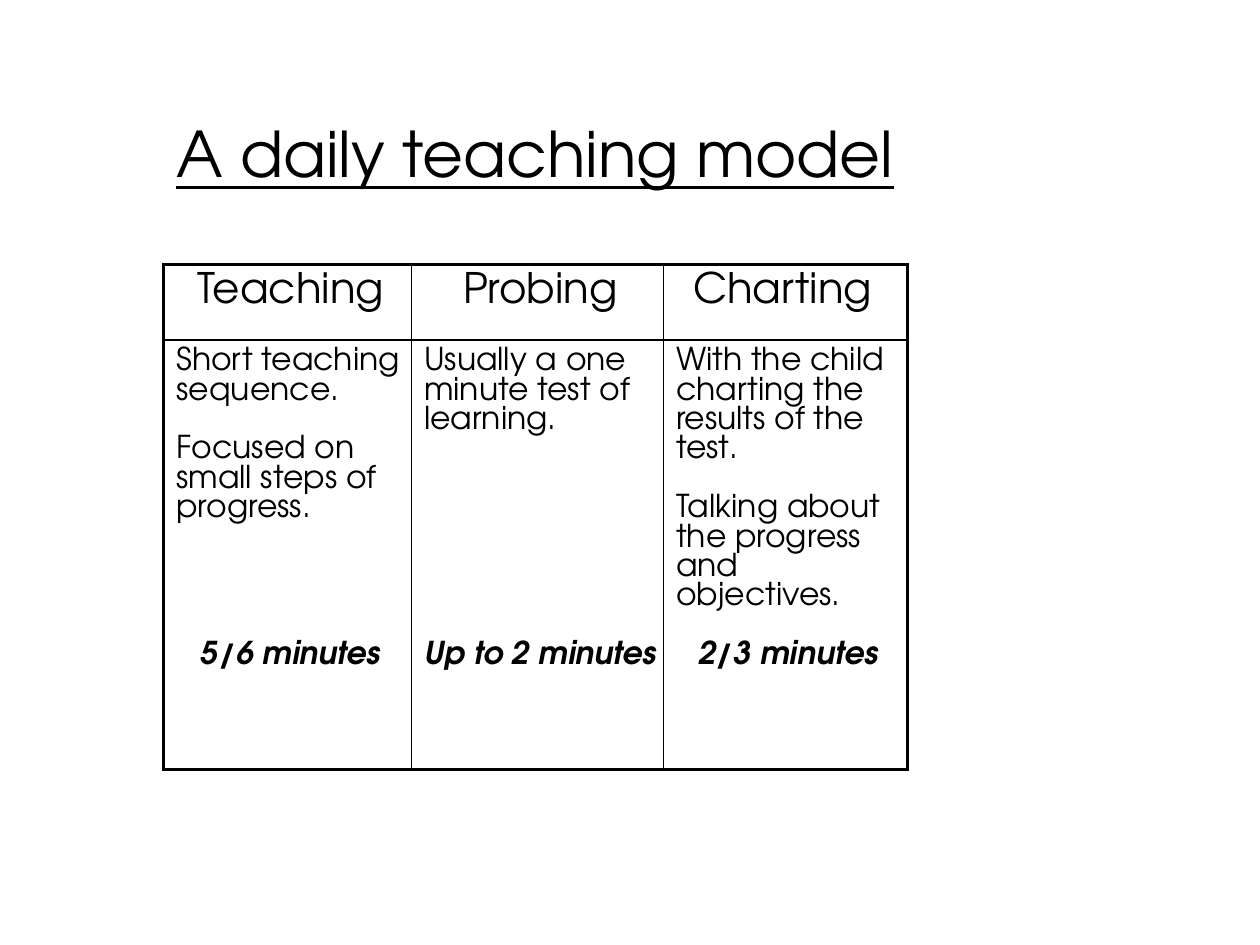
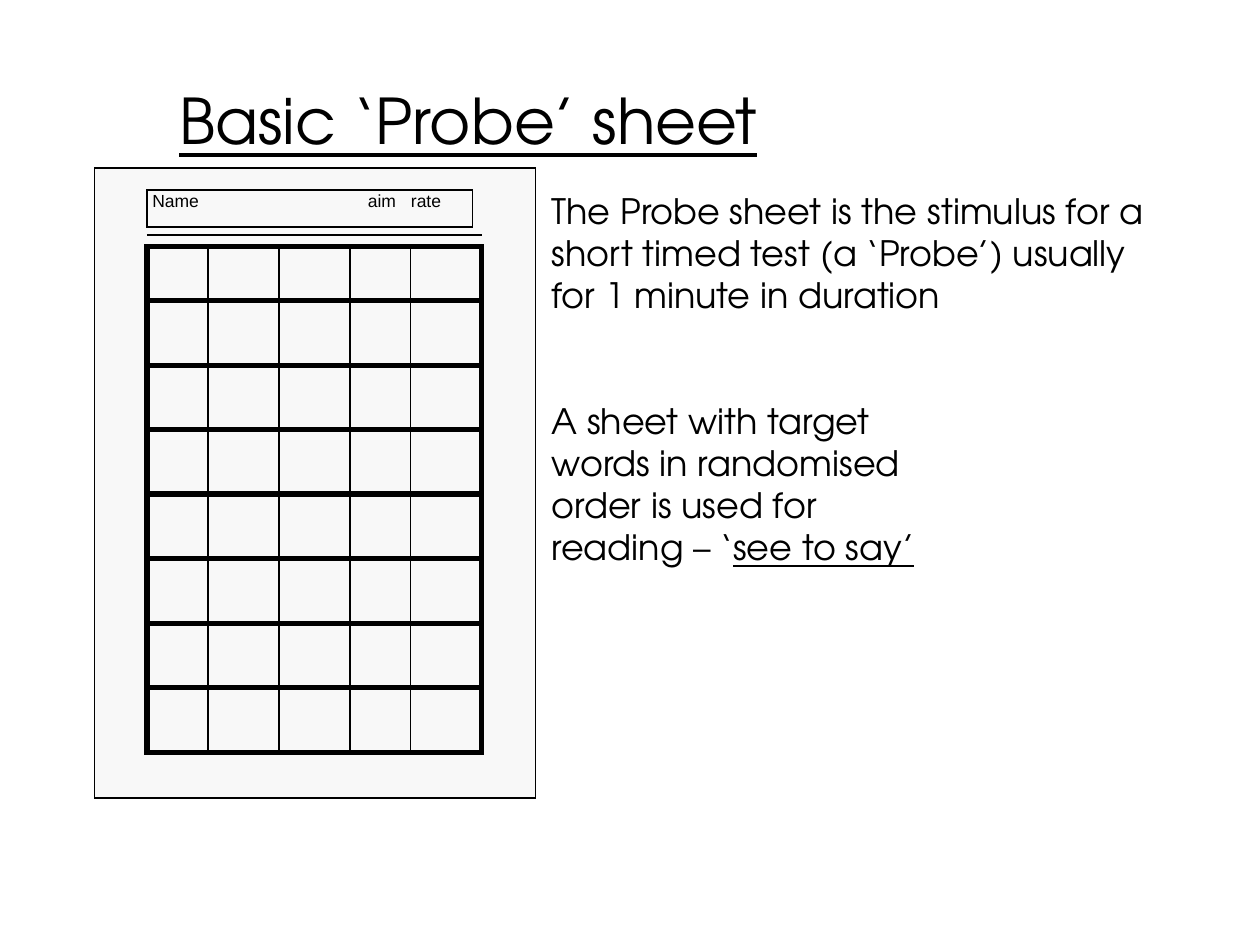
from dataclasses import dataclass
from itertools import product

from lxml.etree import SubElement
from pptx import Presentation
from pptx.dml.color import RGBColor
from pptx.enum.shapes import MSO_CONNECTOR as Conn, MSO_SHAPE as Shape
from pptx.enum.text import MSO_ANCHOR as Anchor, PP_ALIGN as Align
from pptx.oxml import parse_xml
from pptx.oxml.ns import nsdecls, qn
from pptx.util import Pt

COLORS = {"ink": "000000", "paper": "FFFFFF", "sheet": "F8F8F8"}
FONT = "TeX Gyre Adventor"
TITLE = {"size": Pt(36), "name": FONT, "underline": True}
HEADER = {"size": Pt(24), "name": FONT}
CELL = {"size": Pt(18), "name": FONT}
MINUTES = {**CELL, "bold": True, "italic": True}
BODY = {"size": Pt(20), "name": FONT}
LABEL = {"size": Pt(10), "name": "Arial"}
CELL_LINE, BODY_LINE = 16.8, 24


@dataclass
class Box:
    left: float
    top: float
    width: float
    height: float

    @property
    def right(self) -> float:
        return self.left + self.width

    @property
    def bottom(self) -> float:
        return self.top + self.height

    def lengths(self) -> list:
        return [Pt(v) for v in (self.left, self.top, self.width, self.height)]


@dataclass
class Para:
    runs: list
    before: float = 0
    align: Align = Align.LEFT
    tabs: tuple = ()


@dataclass
class Stage:
    name: str
    width: float
    notes: list
    minutes: str
    gap_lines: int


STAGES = [
    Stage("Teaching", 141.6, ["Short teaching sequence.", "Focused on small steps of progress."],
          "5/6 minutes", 4),
    Stage("Probing", 144, ["Usually a one minute test of learning."], "Up to 2 minutes", 7),
    Stage("Charting ", 139.3, ["With the child charting the results of the test.",
                               "Talking about the progress and objectives."], "2/3 minutes", 1),
]


def color(key: str) -> RGBColor:
    return RGBColor.from_string(COLORS[key])


def write(tf, paras: list) -> None:
    for i, para in enumerate(paras):
        p = tf.paragraphs[0] if i == 0 else tf.add_paragraph()
        if para.tabs:
            tab_list = SubElement(p._p.get_or_add_pPr(), qn("a:tabLst"))
            for pos in para.tabs:
                SubElement(tab_list, qn("a:tab"), pos=str(Pt(pos)), algn="l")
        formats = {"alignment": para.align, "space_before": Pt(para.before)}
        for key, value in formats.items():
            setattr(p, key, value)
        for text, style in para.runs:
            r = p.add_run()
            r.text = text
            r.font.color.rgb = color("ink")
            for key, value in style.items():
                setattr(r.font, key, value)


def add_text(shapes, box: Box, paras: list, left: float, right: float = 3,
             bottom: float = 0, anchor: Anchor = Anchor.TOP) -> None:
    tf = shapes.add_textbox(*box.lengths()).text_frame
    formats = {"word_wrap": True, "vertical_anchor": anchor, "margin_left": Pt(left),
               "margin_right": Pt(right), "margin_top": 0, "margin_bottom": Pt(bottom)}
    for key, value in formats.items():
        setattr(tf, key, value)
    write(tf, paras)


def add_title(s, text: str, box: Box, left: float, bottom: float) -> None:
    add_text(s.shapes, box, [Para([(text, TITLE)])], left, bottom=bottom, anchor=Anchor.BOTTOM)


def add_rect(shapes, box: Box, weight: float) -> None:
    sp = shapes.add_shape(Shape.RECTANGLE, *box.lengths())
    sp.shadow.inherit = False
    sp.fill.solid()
    sp.fill.fore_color.rgb = color("sheet")
    sp.line.color.rgb = color("ink")
    sp.line.width = Pt(weight)
    SubElement(sp.line._get_or_add_ln(), qn("a:miter"), lim="800000")


def add_line(shapes, x1: float, y1: float, x2: float, y2: float, weight: float) -> None:
    line = shapes.add_connector(Conn.STRAIGHT, Pt(x1), Pt(y1), Pt(x2), Pt(y2))
    line.line.color.rgb = color("ink")
    line.line.width = Pt(weight)
    SubElement(line._element.spPr, qn("a:effectLst"))


def set_borders(cell, weights: dict) -> None:
    tc_pr = cell._tc.get_or_add_tcPr()
    for i, (side, weight) in enumerate(weights.items()):
        tc_pr.insert(i, parse_xml(
            f'<a:ln{side} {nsdecls("a")} w="{Pt(weight)}"><a:solidFill>'
            f'<a:srgbClr val="{COLORS["ink"]}"/></a:solidFill></a:ln{side}>'))


def stage_paras(stage: Stage) -> list:
    notes = [Para([(note, CELL)], CELL_LINE if i else 0) for i, note in enumerate(stage.notes)]
    return notes + [Para([(stage.minutes, MINUTES)], stage.gap_lines * CELL_LINE, Align.CENTER)]


def add_stage_table(s, box: Box, header_height: float) -> None:
    table = s.shapes.add_table(2, len(STAGES), *box.lengths()).table
    table.first_row = table.horz_banding = False
    table.rows[0].height = Pt(header_height)
    table.rows[1].height = Pt(box.height - header_height)
    last = len(STAGES) - 1
    for row, (col, stage) in product(range(2), enumerate(STAGES)):
        table.columns[col].width = Pt(stage.width)
        cell = table.cell(row, col)
        cell.fill.solid()
        cell.fill.fore_color.rgb = color("paper")
        margins = {"margin_left": 7.2, "margin_right": 4, "margin_top": 4.3, "margin_bottom": 4.3}
        for key, value in margins.items():
            setattr(cell, key, Pt(value))
        outer = {"L": col == 0, "R": col == last, "T": row == 0, "B": row == 1}
        set_borders(cell, {side: 2 if edge else 1 for side, edge in outer.items()})
        header = Para([(stage.name, HEADER)], align=Align.CENTER)
        write(cell.text_frame, stage_paras(stage) if row else [header])


def add_probe_sheet(s) -> None:
    shapes = s.shapes.add_group_shape().shapes
    grid = Box(84, 140.8, 191.2, 289.4)
    add_rect(shapes, Box(54, 96, 252, 360), 1)
    add_rect(shapes, grid, 3)
    for i in range(7):
        y = 171.8 + 36.86 * i
        add_line(shapes, grid.left, y, grid.right, y, 3)
    for x in (118.8, 159.3, 200, 234.6):
        add_line(shapes, x, grid.top, x, grid.bottom, 1)
    add_line(shapes, grid.left, 134.5, grid.right + 0.5, 134.5, 1)
    add_rect(shapes, Box(grid.left, 108.7, 186, 20.9), 1)
    label = Para([("Name\taim\trate", LABEL)], tabs=(123.2, 147.8))
    add_text(shapes, Box(grid.left, 108.7, 186, 11), [label], 3.1)


def build_teaching_model(prs) -> None:
    s = prs.slides.add_slide(prs.slide_layouts[6])
    add_title(s, "A daily teaching model", Box(93.6, 0, 540.7, 112.3), 7.2, 3.6)
    add_stage_table(s, Box(93.6, 151.2, 424.9, 288.7), 43)


def build_probe_sheet(prs) -> None:
    s = prs.slides.add_slide(prs.slide_layouts[6])
    add_title(s, "Basic ‘Probe’ sheet", Box(99, 46, 542.9, 44), 3.4, 0)
    add_probe_sheet(s)
    add_text(s.shapes, Box(311.8, 108.2, 354.2, 288), [
        Para([("The Probe sheet is the stimulus for a short timed test (a ‘Probe’) "
               "usually for 1 minute in duration", BODY)]),
        Para([("A sheet with target", BODY)], 2 * BODY_LINE),
        Para([("words in randomised", BODY)]),
        Para([("order is used for", BODY)]),
        Para([("reading – ‘", BODY), ("see to say’", {**BODY, "underline": True})]),
    ], 3.4)


def main() -> None:
    prs = Presentation()
    prs.slide_width, prs.slide_height = Pt(720), Pt(540)
    build_teaching_model(prs)
    build_probe_sheet(prs)
    prs.save("out.pptx")


if __name__ == "__main__":
    main()
